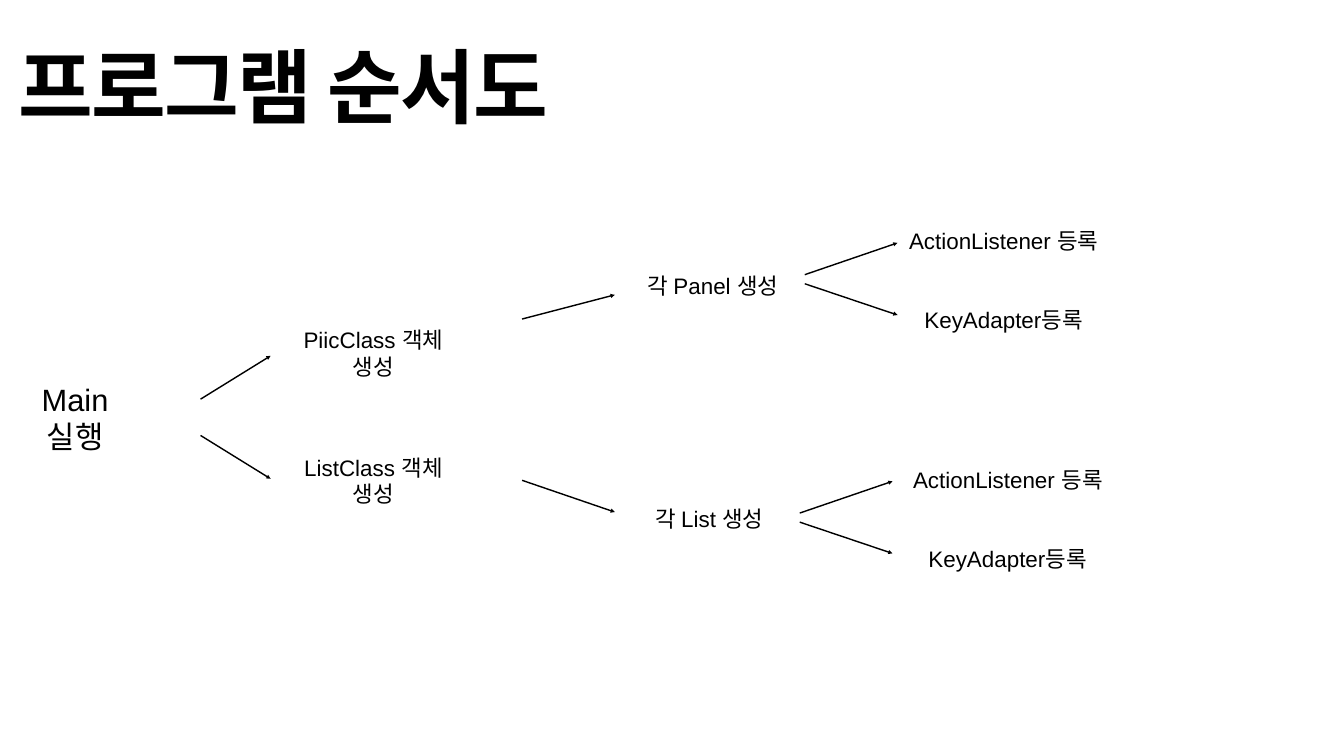
from lxml.etree import SubElement
from pptx import Presentation
from pptx.dml.color import RGBColor
from pptx.enum.shapes import MSO_CONNECTOR
from pptx.enum.text import MSO_ANCHOR as Anchor, PP_ALIGN as Align
from pptx.oxml.ns import qn
from pptx.util import Inches, Pt

COLORS = {"ink": "000000", "paper": "FFFFFF"}
FONT = "Arial"
INSET = 0.06


def add_label(slide, text, left, top, width, height, size, right_inset=INSET):
    label = slide.shapes.add_textbox(
        Inches(left), Inches(top), Inches(width), Inches(height))
    frame = label.text_frame
    frame.word_wrap = True
    frame.margin_left = 0
    frame.margin_top = frame.margin_bottom = Inches(INSET)
    frame.margin_right = Inches(right_inset)
    frame.text = text
    font = frame.paragraphs[0].runs[0].font
    font.name, font.size = FONT, Pt(size)
    font.color.rgb = RGBColor.from_string(COLORS["ink"])
    return frame


def add_title(slide, text):
    frame = add_label(slide, text, 0.3, 0.38, 24.2, 2.32, 116)
    frame.margin_left = Inches(INSET)
    frame.vertical_anchor = Anchor.BOTTOM
    paragraph = frame.paragraphs[0]
    paragraph.line_spacing = 0.8
    run = paragraph.runs[0]
    run.font.bold = True
    run._r.get_or_add_rPr().set("spc", "-230")


def add_step(slide, text, left, top, width, right_inset, height=0.67, size=32):
    """Add a centred step; right_inset keeps its text clear of the next arrow."""
    frame = add_label(slide, text, left, top, width, height, size, right_inset)
    frame.vertical_anchor = Anchor.MIDDLE
    frame.paragraphs[0].alignment = Align.CENTER


def add_arrow(slide, x1, y1, x2, y2):
    arrow = slide.shapes.add_connector(
        MSO_CONNECTOR.STRAIGHT, Inches(x1), Inches(y1), Inches(x2), Inches(y2))
    arrow.line.width = Pt(2)
    arrow.line.color.rgb = RGBColor.from_string(COLORS["ink"])
    SubElement(arrow.line._get_or_add_ln(), qn("a:tailEnd"), type="triangle")
    SubElement(arrow._element.spPr, qn("a:effectLst"))


def add_listener_branch(slide, x, y, listener_left, listener_top):
    """Fork from (x, y) to the two listeners registered on a component."""
    add_arrow(slide, x, y, x + 1.84, y - 0.63)
    add_arrow(slide, x, y + 0.18, x + 1.84, y + 0.8)
    add_step(slide, "ActionListener 등록", listener_left, listener_top, 4.48, 0.5)
    add_step(slide, "KeyAdapter등록", listener_left + 0.31, listener_top + 1.57,
             3.85, 0.5)


def main():
    deck = Presentation()
    deck.slide_width, deck.slide_height = Inches(26.67), Inches(15)
    slide = deck.slides.add_slide(deck.slide_layouts[6])
    background = slide.background.fill
    background.solid()
    background.fore_color.rgb = RGBColor.from_string(COLORS["paper"])

    add_title(slide, "프로그램 순서도")
    add_step(slide, "Main 실행", 0.78, 7.86, 2.69, 1.27, height=0.87, size=44)
    add_arrow(slide, 3.98, 7.92, 5.37, 7.06)
    add_arrow(slide, 3.98, 8.64, 5.37, 9.5)

    add_step(slide, "PiicClass 객체 생성", 5.87, 6.67, 3.98, 0.9)
    add_step(slide, "ListClass 객체 생성", 5.87, 9.2, 3.98, 0.9)
    add_arrow(slide, 10.36, 6.33, 12.2, 5.85)
    add_arrow(slide, 10.36, 9.53, 12.2, 10.16)

    add_step(slide, "각 Panel 생성", 12.71, 5.34, 3.13, 0.25)
    add_step(slide, "각 List 생성", 12.84, 9.96, 2.73, 0.25)
    add_listener_branch(slide, 15.97, 5.45, 17.93, 4.43)
    add_listener_branch(slide, 15.87, 10.18, 18.01, 9.18)

    deck.save("out.pptx")


if __name__ == "__main__":
    main()
